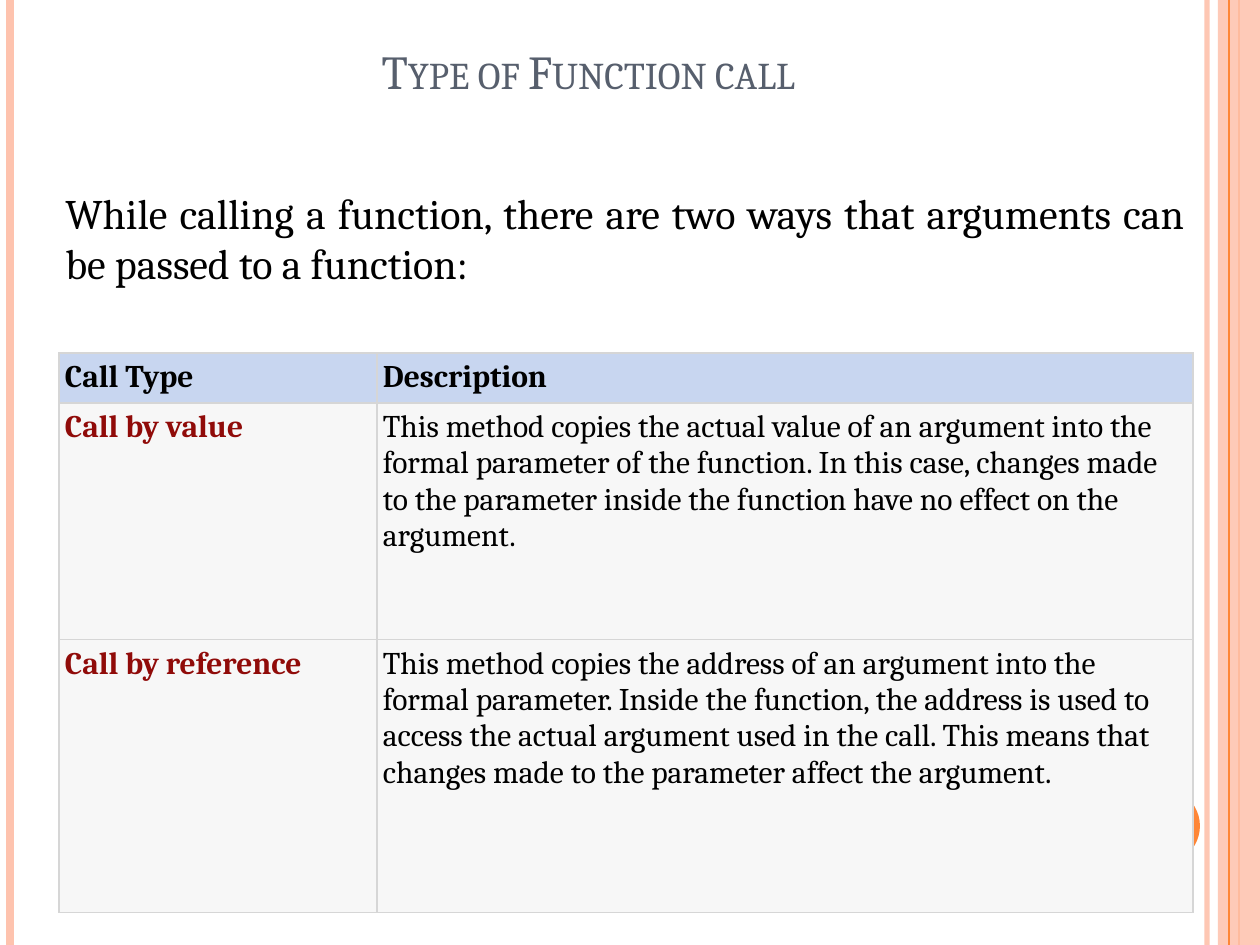
from lxml.etree import SubElement
from pptx import Presentation
from pptx.dml.color import RGBColor
from pptx.enum.shapes import MSO_CONNECTOR, MSO_SHAPE
from pptx.enum.text import MSO_ANCHOR, MSO_AUTO_SIZE, PP_ALIGN
from pptx.oxml.ns import qn
from pptx.util import Pt

EMU_PER_PX = 914400 / 126
WIDTH, HEIGHT = 1260, 945
FONT = "Cambria"
COLORS = {
    "peach": "FEC3AE",
    "orange": "FE8637",
    "title": "575F6D",
    "black": "000000",
    "red": "900B09",
    "header": "C8D6F0",
    "body": "F7F7F7",
    "border": "D6D6D6",
}
# x in px, colour, width in points, opacity in percent
STRIPES_BEHIND = [
    (1207, "peach", 3, 93),
    (10, "peach", 4.5, 100),
    (1239, "orange", 1.5, 100),
]
STRIPE_IN_FRONT = (1229, "orange", 0.75, 100)
COLUMN_WIDTHS = [318, 816]
ROW_HEIGHTS = [50, 237, 273]
ROWS = [
    ("Call Type", "Description"),
    ("Call by value",
     "This method copies the actual value of an argument into the formal "
     "parameter of the function. In this case, changes made to the parameter "
     "inside the function have no effect on the argument."),
    ("Call by reference",
     "This method copies the address of an argument into the formal parameter. "
     "Inside the function, the address is used to access the actual argument "
     "used in the call. This means that changes made to the parameter affect "
     "the argument."),
]


def px(length):
    return round(length * EMU_PER_PX)


def box(left, top, width, height):
    return px(left), px(top), px(width), px(height)


def color(name):
    return RGBColor.from_string(COLORS[name])


def set_opacity(properties, percent):
    """Make every solid colour below the given XML element translucent."""
    for solid in properties.iter(qn("a:srgbClr")):
        SubElement(solid, qn("a:alpha"), val=str(percent * 1000))


def format_text(paragraph, size, color_name, bold=False):
    for run in paragraph.runs:
        run.font.name = FONT
        run.font.size = Pt(size)
        run.font.bold = bold
        run.font.color.rgb = color(color_name)


def add_stripe(slide, x, color_name, width, opacity):
    """Draw a vertical line over the full height of the slide."""
    stripe = slide.shapes.add_connector(
        MSO_CONNECTOR.STRAIGHT, px(x), 0, px(x), px(HEIGHT))
    stripe.line.color.rgb = color(color_name)
    stripe.line.width = Pt(width)
    properties = stripe._element.spPr
    if opacity < 100:
        set_opacity(properties, opacity)
    SubElement(properties, qn("a:effectLst"))


def add_plain_shape(slide, kind, bounds, color_name, opacity=100):
    shape = slide.shapes.add_shape(kind, *box(*bounds))
    shape.shadow.inherit = False
    shape.fill.solid()
    shape.fill.fore_color.rgb = color(color_name)
    shape.line.fill.background()
    if opacity < 100:
        set_opacity(shape._element.spPr, opacity)


def set_title(slide, text):
    title = slide.shapes.title
    title.left, title.top, title.width, title.height = box(74, 38, 1029, 67)
    text_frame = title.text_frame
    text_frame.text = text
    text_frame.word_wrap = True
    text_frame.auto_size = MSO_AUTO_SIZE.NONE
    text_frame.vertical_anchor = MSO_ANCHOR.BOTTOM
    paragraph = text_frame.paragraphs[0]
    paragraph.alignment = PP_ALIGN.CENTER
    format_text(paragraph, 27, "title")
    paragraph.runs[0].font._element.set("cap", "small")


def add_introduction(slide, text):
    text_box = slide.shapes.add_textbox(*box(53, 181, 1144, 115))
    text_frame = text_box.text_frame
    text_frame.text = text
    text_frame.word_wrap = True
    text_frame.auto_size = MSO_AUTO_SIZE.SHAPE_TO_FIT_TEXT
    paragraph = text_frame.paragraphs[0]
    paragraph.alignment = PP_ALIGN.JUSTIFY
    format_text(paragraph, 24, "black")


def set_borders(cell):
    properties = cell._tc.get_or_add_tcPr()
    for side in ("a:lnL", "a:lnR", "a:lnT", "a:lnB"):
        line = SubElement(properties, qn(side), w=str(Pt(0.75)))
        fill = SubElement(line, qn("a:solidFill"))
        SubElement(fill, qn("a:srgbClr"), val=COLORS["border"])


def fill_cell(cell, text, fill_name, text_color, bold):
    set_borders(cell)
    cell.fill.solid()
    cell.fill.fore_color.rgb = color(fill_name)
    cell.margin_left = cell.margin_right = px(6)
    cell.margin_top = cell.margin_bottom = px(6)
    cell.text_frame.text = text
    format_text(cell.text_frame.paragraphs[0], 18, text_color, bold)


def add_call_table(slide):
    bounds = box(59, 353, sum(COLUMN_WIDTHS), sum(ROW_HEIGHTS))
    table = slide.shapes.add_table(
        len(ROWS), len(COLUMN_WIDTHS), *bounds).table
    for column, width in zip(table.columns, COLUMN_WIDTHS):
        column.width = px(width)
    for row, height in zip(table.rows, ROW_HEIGHTS):
        row.height = px(height)
    for row_index, texts in enumerate(ROWS):
        is_header = row_index == 0
        for column_index, text in enumerate(texts):
            is_call_type = column_index == 0 and not is_header
            fill_cell(
                table.cell(row_index, column_index), text,
                fill_name="header" if is_header else "body",
                text_color="red" if is_call_type else "black",
                bold=is_header or is_call_type)


def main():
    presentation = Presentation()
    presentation.slide_width = px(WIDTH)
    presentation.slide_height = px(HEIGHT)
    slide = presentation.slides.add_slide(presentation.slide_layouts[5])
    for stripe in STRIPES_BEHIND:
        add_stripe(slide, *stripe)
    add_plain_shape(slide, MSO_SHAPE.RECTANGLE, (1218, 0, 42, HEIGHT), "peach", 87)
    add_stripe(slide, *STRIPE_IN_FRONT)
    add_plain_shape(slide, MSO_SHAPE.OVAL, (1124, 788, 76, 76), "orange")
    set_title(slide, "Type of Function call")
    add_call_table(slide)
    add_introduction(
        slide,
        "While calling a function, there are two ways that arguments can be "
        "passed to a function:")
    presentation.save("out.pptx")


if __name__ == "__main__":
    main()
